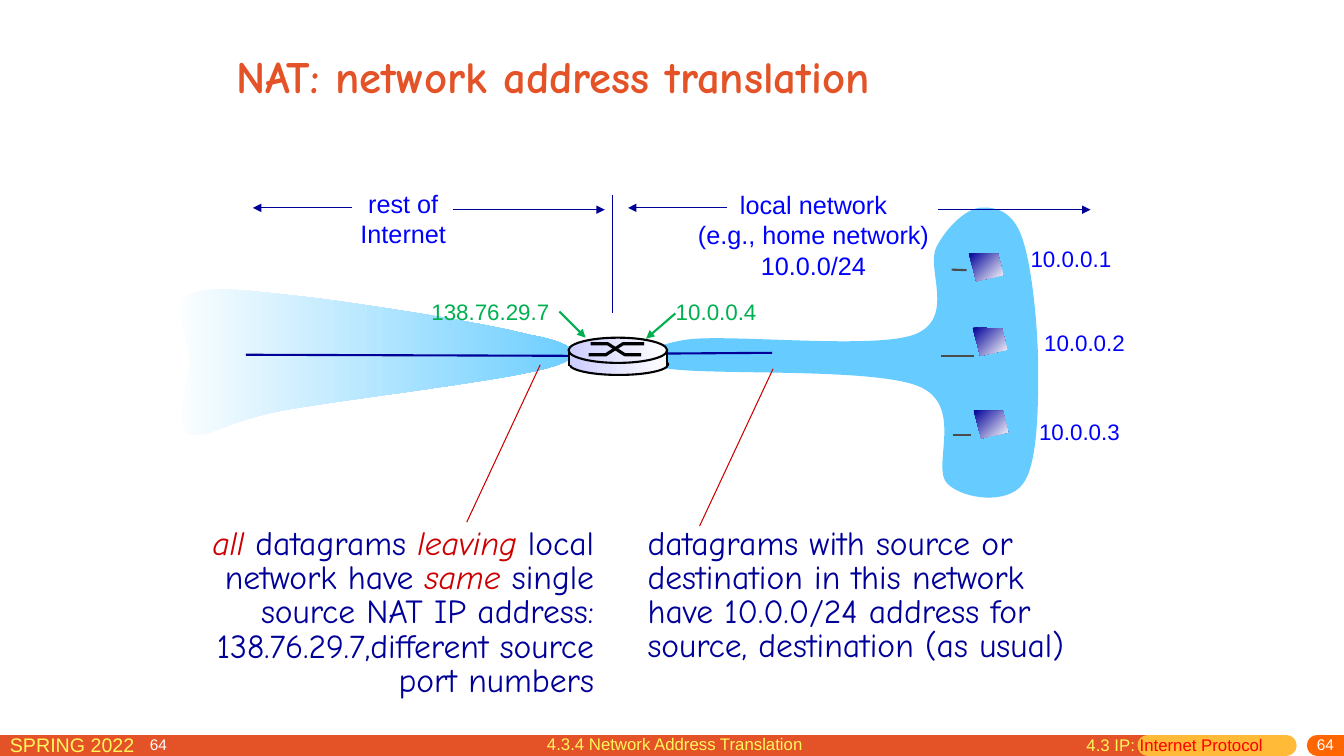
from dataclasses import dataclass
from typing import NamedTuple

from lxml.etree import SubElement
from pptx import Presentation
from pptx.dml.color import RGBColor
from pptx.enum.shapes import MSO_CONNECTOR, MSO_SHAPE
from pptx.enum.text import MSO_ANCHOR, MSO_AUTO_SIZE, PP_ALIGN
from pptx.oxml.ns import qn
from pptx.util import Pt

NAVY, BLUE, GREEN, RED = "000099", "0000FF", "00B050", "CC0000"
BLACK, WHITE, GREY, SKY = "000000", "FFFFFF", "4C4C4C", "66CCFF"
ORANGE, LEMON, LILAC = "E45327", "FFF65C", "CCCCFF"
COMIC = "Comic Neue"
LEFT, MID, RIGHT = PP_ALIGN.LEFT, PP_ALIGN.CENTER, PP_ALIGN.RIGHT

Point = tuple[float, float]


class Run(NamedTuple):
    text: str
    color: str
    italic: bool = False


class Wire(NamedTuple):
    start: Point
    end: Point
    color: str
    width: float = 0.75
    arrow: bool = False
    cap: str = "flat"


@dataclass
class Note:
    x: float
    y: float
    w: float
    h: float
    paras: list[str | list[Run]]
    size: float
    color: str
    font: str = "Arial"
    align: PP_ALIGN = LEFT
    wrap: bool = False
    space: float = 1.0
    centred: bool = False
    bold: bool = False


def rgb(code: str) -> RGBColor:
    return RGBColor.from_string(code)


def style(shape, fill=None, line: float = 0, angle: float = 0):
    """Fill with one colour, or a pair as a gradient; outline in black."""
    shape.shadow.inherit = False
    if fill is None:
        shape.fill.background()
    elif isinstance(fill, str):
        shape.fill.solid()
        shape.fill.fore_color.rgb = rgb(fill)
    else:
        shape.fill.gradient()
        shape.fill.gradient_angle = angle
        for stop, code in zip(shape.fill.gradient_stops, fill):
            stop.color.rgb = rgb(code)
    if line:
        shape.line.color.rgb = rgb(BLACK)
        shape.line.width = Pt(line)
    else:
        shape.line.fill.background()
    return shape


def draw_wire(slide, wire: Wire):
    ends = [Pt(v) for v in (*wire.start, *wire.end)]
    link = slide.shapes.add_connector(MSO_CONNECTOR.STRAIGHT, *ends)
    link.line.color.rgb = rgb(wire.color)
    link.line.width = Pt(wire.width)
    props = link.element.spPr
    ln = props.find(qn("a:ln"))
    ln.set("cap", wire.cap)
    if wire.arrow:
        SubElement(ln, qn("a:tailEnd"), type="triangle")
    SubElement(props, qn("a:effectLst"))
    return link


def draw_path(slide, points: list[Point], close: bool = True):
    first, *rest = [(Pt(x), Pt(y)) for x, y in points]
    pen = slide.shapes.build_freeform(*first)
    pen.add_line_segments(rest, close=close)
    return pen.convert_to_shape()


def draw_curve(slide, knots: list[Point]):
    """Draw a closed outline of cubic Bezier curves that share end points."""
    shape = draw_path(slide, knots)
    for path in shape.element.iter(qn("a:path")):
        steps = path.findall(qn("a:lnTo"))
        for i in range(0, len(knots) - 1, 3):
            bend = SubElement(path, qn("a:cubicBezTo"))
            for step in steps[i:i + 3]:
                bend.append(step[0])
        for step in steps:
            path.remove(step)
        path.append(path.find(qn("a:close")))
    return shape


def draw_note(slide, note: Note) -> None:
    box = slide.shapes.add_textbox(Pt(note.x), Pt(note.y), Pt(note.w), Pt(note.h))
    frame = box.text_frame
    frame.word_wrap = note.wrap
    frame.auto_size = MSO_AUTO_SIZE.NONE if note.wrap else MSO_AUTO_SIZE.SHAPE_TO_FIT_TEXT
    frame.vertical_anchor = MSO_ANCHOR.MIDDLE if note.centred else MSO_ANCHOR.TOP
    for i, para in enumerate(note.paras):
        p = frame.add_paragraph() if i else frame.paragraphs[0]
        p.alignment, p.line_spacing = note.align, note.space
        p.font.name, p.font.size, p.font.bold = note.font, Pt(note.size), note.bold
        p.font.color.rgb = rgb(note.color)
        if isinstance(para, str):
            p.add_run().text = para
            continue
        for part in para:
            run = p.add_run()
            run.text = part.text
            run.font.color.rgb = rgb(part.color)
            run.font.italic = part.italic


def draw_router(slide) -> None:
    def part(kind, x, y, h, line):
        shape = slide.shapes.add_shape(kind, Pt(x), Pt(y), Pt(70.5), Pt(h))
        return style(shape, (LILAC, WHITE), line)

    parts = [part(MSO_SHAPE.OVAL, 406.8, 252.7, 15.1, 1.5),
             part(MSO_SHAPE.RECTANGLE, 406.8, 251.3, 9.4, 0),
             part(MSO_SHAPE.OVAL, 406.1, 241.2, 18, 1.5)]
    for x, y, far, width in ((420.5, 253.4, 245.5, 39.6), (421.9, 245.5, 253.4, 36)):
        points = [(x, y), (x + 12.2, y), (x + 24.5, far), (x + width, far)]
        parts.append(style(draw_path(slide, points, False), line=2.25))
    for x in (406.6, 476.6):
        parts.append(draw_wire(slide, Wire((x, 249.5), (x, 261.4), BLACK, 1.5)))
    slide.shapes.add_group_shape(parts)


LOCAL = [(490.3, 242.6), (520.6, 238.3), (623.5, 249.8), (653, 239), (683.3, 227.5),
         (661, 191.5), (668.9, 176.4), (676.8, 161.3), (690.5, 149), (700.6, 148.3),
         (710.6, 147.6), (723.6, 150.5), (730.1, 169.9), (737.3, 190.1), (741.6, 235.4),
         (741.6, 265), (741.6, 294.5), (740.9, 333.4), (730.1, 346.3), (719.3, 360),
         (689, 357.1), (676.8, 345.6), (664.6, 334.1), (689.8, 289.4), (655.9, 275.8),
         (622.1, 262.1), (501.8, 268.6), (474.5, 262.8), (447.1, 257), (463, 247),
         (490.3, 242.6)]
REST = [(377.3, 239), (348.5, 231.1), (261.4, 217.4), (221, 212.4), (180.7, 208.1),
        (149, 203), (134.6, 211), (120.2, 218.2), (135.4, 240.5), (135.4, 257),
        (135.4, 273.6), (123.1, 303.1), (134.6, 309.6), (145.4, 315.4), (159.8, 301),
        (203, 293), (246.2, 285.1), (365, 271.4), (393.8, 262.1), (423.4, 253.4),
        (406.8, 244.1), (377.3, 239)]
BARS = [Wire((0, 532.3), (820, 532.3), ORANGE, 15),
        Wire((820, 532.3), (918.7, 532.3), "FFBA37", 15, cap="rnd"),
        Wire((941, 532.3), (960, 532.3), "FF6600", 15, cap="rnd")]
WIRES = [Wire((455.8, 252.7), (551.5, 252), NAVY, 1.5),
         Wire((175.7, 253.4), (414, 254.2), NAVY, 1.5),
         Wire((695.5, 254.6), (672, 254.6), GREY, 1.5),
         Wire((679.7, 192.6), (690.5, 193), GREY, 1.5),
         Wire((680.4, 311), (693.4, 311), GREY, 1.5),
         Wire((482.4, 223.9), (461.5, 241.9), GREEN, 1.5, True),
         Wire((399.6, 222.5), (418.3, 241.2), GREEN, 1.5, True),
         Wire((670.3, 149.8), (779, 149.8), NAVY, arrow=True),
         Wire((437.8, 139), (437.8, 223.9), NAVY),
         Wire((519.1, 148.5), (448.6, 148.5), NAVY, arrow=True),
         Wire((323.3, 149.8), (432, 149.8), NAVY, arrow=True),
         Wire((251.3, 148.5), (180.7, 148.5), NAVY, arrow=True),
         Wire((499.7, 375.8), (552.2, 263.5), RED),
         Wire((333.4, 373), (385.9, 260.6), RED)]
HOSTS = [(692, 180.7), (694.8, 234), (695.5, 293)]
NOTES = [
    Note(162, 18, 637, 71.3, ["NAT: network address translation"], 32, ORANGE, COMIC,
         wrap=True, centred=True, bold=True),
    Note(729, 171.4, 72.7, 26.6, ["10.0.0.1"], 16, BLUE),
    Note(738.7, 231.8, 72.7, 26.6, ["10.0.0.2"], 16, BLUE),
    Note(735.1, 295.2, 72.7, 26.6, ["10.0.0.3"], 16, BLUE),
    Note(475.6, 209.5, 72.7, 26.6, ["10.0.0.4"], 16, GREEN),
    Note(301, 209.5, 99.4, 26.6, ["138.76.29.7"], 16, GREEN),
    Note(491.4, 131.8, 179.3, 72, ["local network", "(e.g., home network)", "10.0.0/24"],
         18, BLUE, align=MID),
    Note(250.2, 131, 75.6, 50.4, ["rest of", "Internet"], 18, BLUE, align=MID),
    Note(455.5, 373.4, 341.3, 105.8,
         ["datagrams with source or", "destination in this network",
          "have 10.0.0/24 address for", "source, destination (as usual)"],
         24, NAVY, COMIC, space=0.85),
    Note(120.4, 373.5, 311, 131,
         [[Run("all ", RED, True), Run("datagrams ", NAVY), Run("leaving ", RED, True),
           Run("local", NAVY)],
          [Run("network have ", NAVY), Run("same ", RED, True),
           Run("single source NAT IP address: 138.76.29.7,different source port numbers",
               NAVY)]],
         24, NAVY, COMIC, RIGHT, wrap=True, space=0.85),
    Note(0, 520, 165, 20, ["SPRING 2022"], 14, LEMON, wrap=True),
    Note(100, 525.2, 40, 13, ["64"], 11, WHITE, wrap=True, centred=True),
    Note(774, 525.2, 186, 13, ["64"], 11, WHITE, align=RIGHT, wrap=True, centred=True),
    Note(769, 521, 158.4, 19, [[Run("4.3 IP: ", LEMON), Run("Internet Protocol", "FF0000")]],
         12, LEMON, wrap=True),
    Note(383.6, 520.6, 231, 19, ["4.3.4 Network Address Translation"], 12, LEMON, wrap=True),
]


def main() -> None:
    deck = Presentation()
    deck.slide_width, deck.slide_height = Pt(960), Pt(540)
    slide = deck.slides.add_slide(deck.slide_layouts[6])
    for bar in BARS:
        draw_wire(slide, bar)
    style(draw_curve(slide, LOCAL), SKY)
    style(draw_curve(slide, REST), (WHITE, SKY))
    for wire in WIRES:
        draw_wire(slide, wire)
    draw_router(slide)
    for x, y in HOSTS:
        screen = [(x, y), (x + 21, y + 0.6), (x + 24.6, y + 15.8), (x + 5.4, y + 20.2)]
        style(draw_path(slide, screen), (NAVY, WHITE), angle=315)
    for note in NOTES:
        draw_note(slide, note)
    deck.save("out.pptx")


if __name__ == "__main__":
    main()
